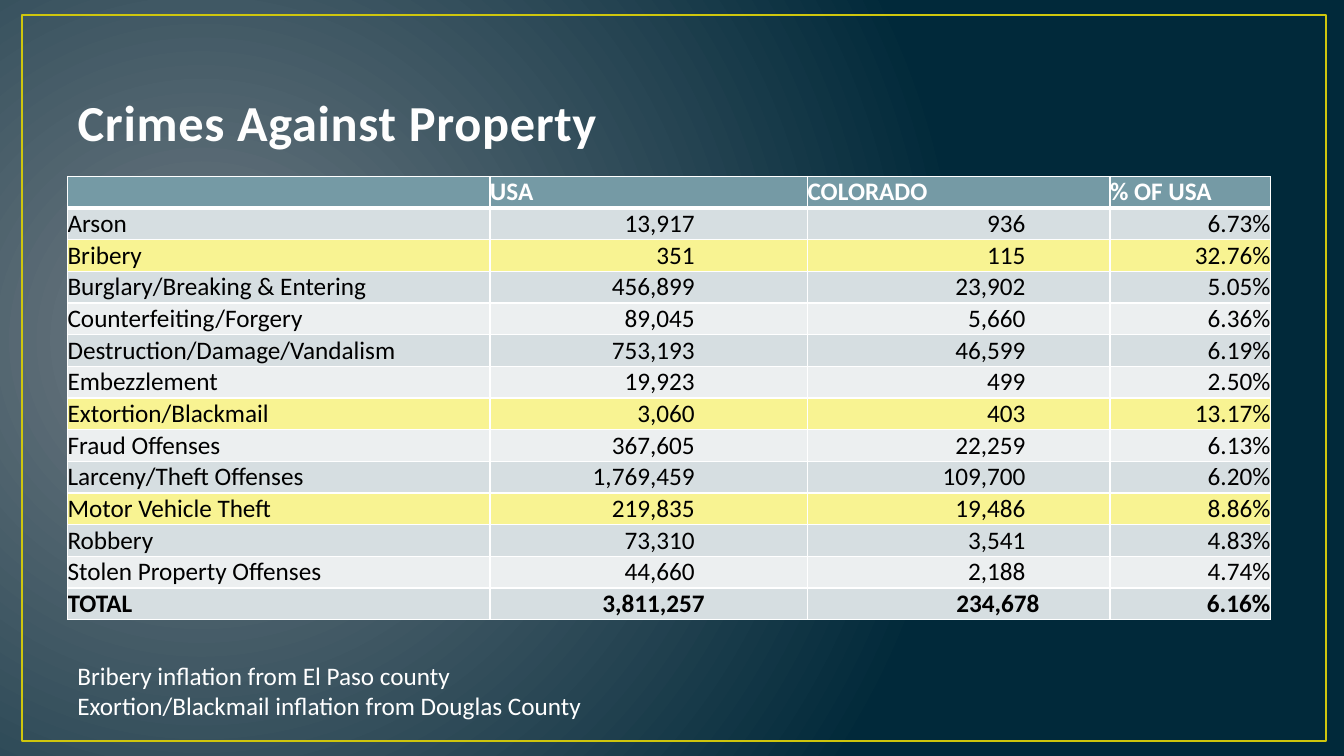
from dataclasses import dataclass

from pptx import Presentation
from pptx import util as u
from pptx.dml.color import RGBColor
from pptx.enum import shapes, text
from pptx.oxml import parse_xml
from pptx.oxml.ns import nsdecls, qn

WHITE, BLACK, HEADER = "FFFFFF", "000000", "759AA5"
HIGHLIGHT, BANDS = "F8F392", ("ECEFF0", "D6DEE1")
COLUMN_WIDTHS = (4.19, 3.15, 3, 1.59)
NUMBER_INSETS = (0, 1.12, 0.84, 0)
TOTAL_INSETS = (0, 1.02, 0.7, 0)
LEFT, RIGHT = text.PP_ALIGN.LEFT, text.PP_ALIGN.RIGHT


@dataclass
class Crime:
    offense: str
    usa: str
    colorado: str
    share: str
    highlighted: bool = False

    def values(self) -> tuple:
        return self.offense, self.usa, self.colorado, self.share


CRIMES = [
    Crime("Arson", "13,917", "936", "6.73%"),
    Crime("Bribery", "351", "115", "32.76%", True),
    Crime("Burglary/Breaking & Entering", "456,899", "23,902", "5.05%"),
    Crime("Counterfeiting/Forgery", "89,045", "5,660", "6.36%"),
    Crime("Destruction/Damage/Vandalism", "753,193", "46,599", "6.19%"),
    Crime("Embezzlement", "19,923", "499", "2.50%"),
    Crime("Extortion/Blackmail", "3,060", "403", "13.17%", True),
    Crime("Fraud Offenses", "367,605", "22,259", "6.13%"),
    Crime("Larceny/Theft Offenses", "1,769,459", "109,700", "6.20%"),
    Crime("Motor Vehicle Theft", "219,835", "19,486", "8.86%", True),
    Crime("Robbery", "73,310", "3,541", "4.83%"),
    Crime("Stolen Property Offenses", "44,660", "2,188", "4.74%"),
    Crime("TOTAL", "3,811,257", "234,678", "6.16%"),
]


def rgb(value: str) -> RGBColor:
    return RGBColor.from_string(value)


def write(frame, *lines: str, size=18, color=WHITE, bold=False, align=LEFT):
    for index, line in enumerate(lines):
        paragraph = frame.add_paragraph() if index else frame.paragraphs[0]
        paragraph.alignment = align
        run = paragraph.add_run()
        run.text = line
        run.font.name = "Calibri"
        run.font.size = u.Pt(size)
        run.font.bold = bold
        run.font.color.rgb = rgb(color)


def outline(tag: str, color: str, points: float):
    return parse_xml(
        f'<a:{tag} {nsdecls("a")} w="{u.Pt(points)}"><a:solidFill>'
        f'<a:srgbClr val="{color}"/></a:solidFill></a:{tag}>'
    )


def paint_background(slide) -> None:
    fill = slide.background.fill
    fill.gradient()
    for stop, color in zip(fill.gradient_stops, ("717C84", "01293A")):
        stop.color.rgb = rgb(color)
    linear = slide._element.find(".//" + qn("a:lin"))
    circle = parse_xml(
        f'<a:path {nsdecls("a")} path="circle">'
        '<a:fillToRect l="15000" t="50000" r="85000" b="60000"/></a:path>'
    )
    linear.getparent().replace(linear, circle)


def add_border(slide) -> None:
    border = slide.shapes.add_shape(
        shapes.MSO_SHAPE.RECTANGLE,
        u.Inches(0.22), u.Inches(0.15), u.Inches(12.93), u.Inches(7.2),
    )
    border.shadow.inherit = False
    border.fill.background()
    border.line.color.rgb = rgb("CFC60D")
    border.line.width = u.Pt(1.5)
    slide.shapes._spTree.insert(2, border._element)


def add_title(slide) -> None:
    title = slide.shapes.title
    title.left, title.top = u.Inches(0.67), u.Inches(0.3)
    title.width, title.height = u.Inches(12), u.Inches(1.25)
    frame = title.text_frame
    frame.vertical_anchor = text.MSO_ANCHOR.BOTTOM
    write(frame, "Crimes Against Property", size=36, color="FEFEFE", bold=True)
    properties = frame.paragraphs[0].runs[0].font._element
    properties.set("spc", "50")
    properties.insert(0, outline("ln", "384F55", 1.05))


def format_cell(cell, fill: str, inset: float = 0, top=1, bottom=1) -> None:
    cell.margin_left = cell.margin_top = cell.margin_bottom = 0
    cell.margin_right = u.Inches(inset)
    cell.vertical_anchor = text.MSO_ANCHOR.MIDDLE
    properties = cell._tc.get_or_add_tcPr()
    for tag, points in (("lnL", 1), ("lnR", 1), ("lnT", top), ("lnB", bottom)):
        properties.append(outline(tag, WHITE, points))
    cell.fill.solid()
    cell.fill.fore_color.rgb = rgb(fill)


def add_crime_table(slide) -> None:
    table = slide.shapes.add_table(
        len(CRIMES) + 1, len(COLUMN_WIDTHS),
        u.Inches(0.67), u.Inches(1.75), u.Inches(11.93), u.Inches(4.4),
    ).table
    for column, width in zip(table.columns, COLUMN_WIDTHS):
        column.width = u.Inches(width)

    for column, heading in enumerate(("", "USA", "COLORADO", "% OF USA")):
        cell = table.cell(0, column)
        format_cell(cell, HEADER, bottom=3)
        if heading:
            write(cell.text_frame, heading, bold=True)

    for row, crime in enumerate(CRIMES, 1):
        is_total = row == len(CRIMES)
        fill = HIGHLIGHT if crime.highlighted else BANDS[row % 2]
        insets = TOTAL_INSETS if is_total else NUMBER_INSETS
        for column, value in enumerate(crime.values()):
            cell = table.cell(row, column)
            format_cell(cell, fill, insets[column], top=3 if row == 1 else 1)
            write(cell.text_frame, value, color=BLACK, bold=is_total,
                  align=RIGHT if column else LEFT)


def add_remarks(slide) -> None:
    remarks = slide.shapes.add_textbox(
        u.Inches(0.67), u.Inches(6.5), u.Inches(8.64), u.Inches(0.71)
    ).text_frame
    remarks.word_wrap = True
    remarks.auto_size = text.MSO_AUTO_SIZE.SHAPE_TO_FIT_TEXT
    write(remarks, "Bribery inflation from El Paso county",
          "Exortion/Blackmail inflation from Douglas County")


def main() -> None:
    deck = Presentation()
    deck.slide_width, deck.slide_height = u.Inches(13.33), u.Inches(7.5)
    slide = deck.slides.add_slide(deck.slide_layouts[5])
    paint_background(slide)
    add_border(slide)
    add_title(slide)
    add_crime_table(slide)
    add_remarks(slide)
    deck.save("out.pptx")


if __name__ == "__main__":
    main()
